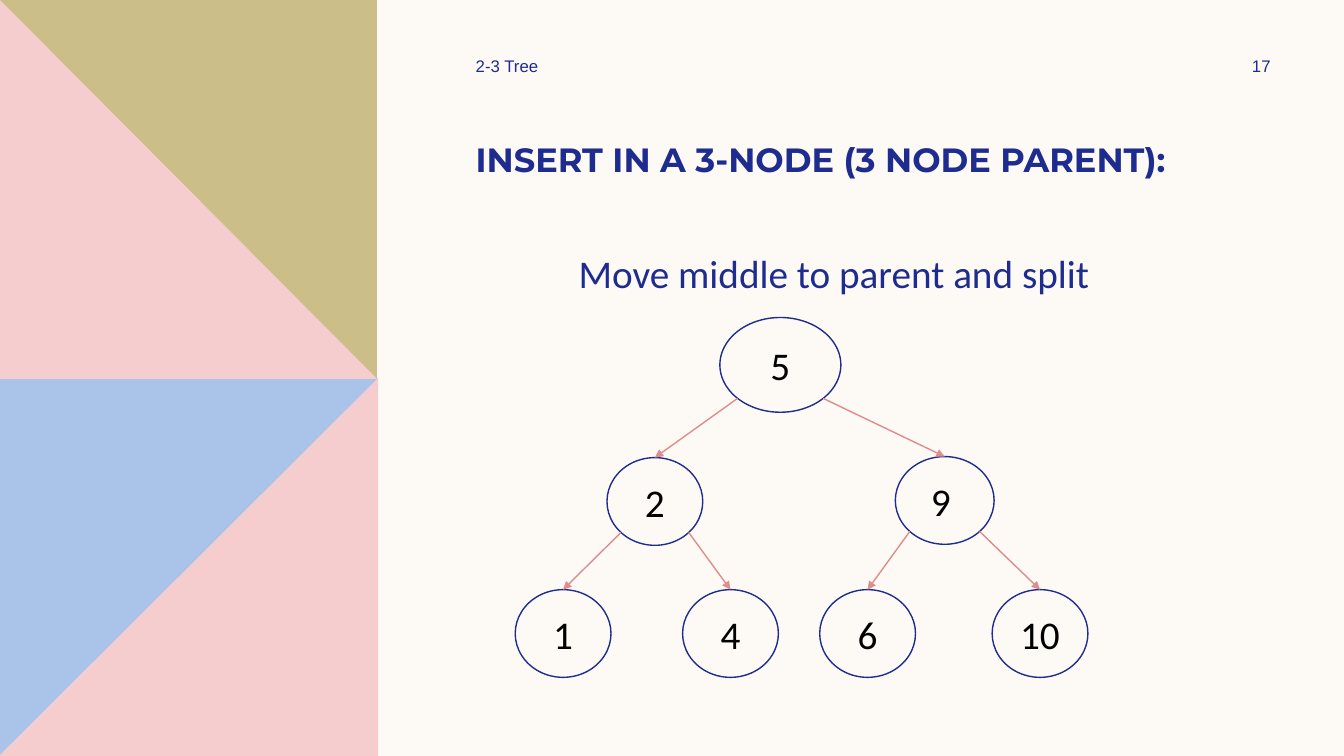
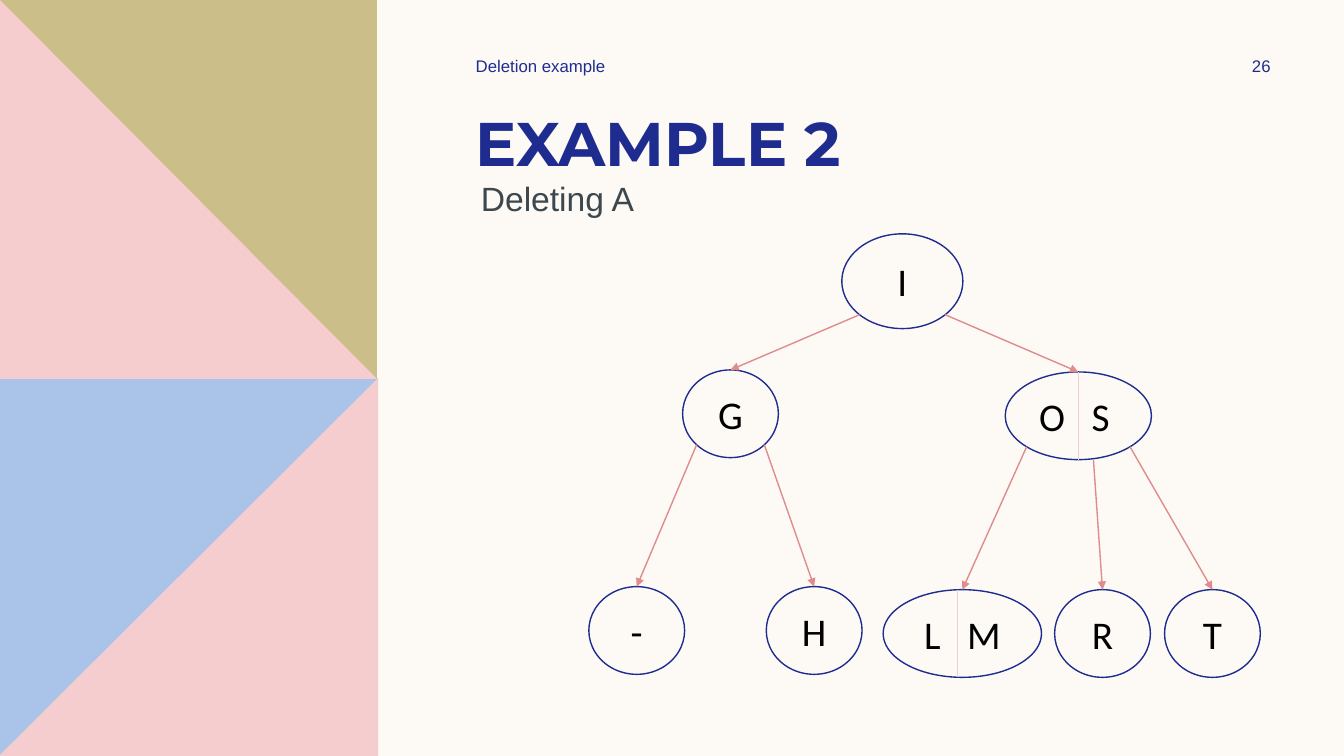
from dataclasses import dataclass
from math import sqrt
from typing import NamedTuple

from pptx import Presentation
from pptx import util as u
from pptx.dml import color
from pptx.enum import shapes, text
from pptx.oxml import xmlchemy


# Theme: every colour, font and type size
@dataclass(frozen=True)
class Theme:
    paper: str = "FDFAF6"
    navy: str = "1F2C8F"
    slate: str = "3C484E"
    black: str = "000000"
    blue: str = "AAC3E8"
    pink: str = "F5CDCE"
    olive: str = "CCBE89"
    rose: str = "DE8C8C"
    heading_font: str = "Montserrat"
    plain_font: str = "Arial"
    key_font: str = "Calibri"
    small: float = 12
    medium: float = 24
    key_size: float = 28
    large: float = 44
    stroke: float = 1
    hairline: float = 0.5


THEME = Theme()


class Style(NamedTuple):
    font: str
    size: float
    color: str
    bold: bool = False
    align: text.PP_ALIGN = text.PP_ALIGN.LEFT
    anchor: text.MSO_ANCHOR = text.MSO_ANCHOR.TOP
    before: float = 0


CENTER, MIDDLE = text.PP_ALIGN.CENTER, text.MSO_ANCHOR.MIDDLE
HEADER = Style(THEME.plain_font, THEME.small, THEME.navy, anchor=MIDDLE)
PAGE = HEADER._replace(align=CENTER)
TITLE = Style(THEME.heading_font, THEME.large, THEME.navy, bold=True)
LONG_TITLE = TITLE._replace(size=THEME.medium)
SUBTITLE = Style(THEME.plain_font, THEME.medium, THEME.slate)
STEP = Style(THEME.key_font, THEME.key_size, THEME.navy, align=CENTER, before=3.6)
KEY = Style(THEME.key_font, THEME.key_size, THEME.black, align=CENTER, anchor=MIDDLE)


class Box(NamedTuple):
    left: float
    top: float
    width: float
    height: float


class Point(NamedTuple):
    x: float
    y: float


class Panel(NamedTuple):
    color: str
    corners: tuple[Point, ...]


class Label(NamedTuple):
    words: str
    box: Box
    style: Style


@dataclass(frozen=True)
class Node:
    keys: str
    left: float
    top: float
    width: float = 0.95
    height: float = 0.87
    nudge: float = 0      # keys sit this far left of centre
    divider: float = 0    # divider offset from centre, when there are two keys

    @property
    def center(self) -> float:
        return self.left + self.width / 2

    @property
    def bottom(self) -> float:
        return self.top + self.height

    def exits(self, child_count: int) -> list[Point]:
        """Where branches leave: lower left, middle if needed, lower right."""
        reach = self.width / 2 / sqrt(2)
        y = self.top + self.height / 2 * (1 + 1 / sqrt(2))
        left, right = Point(self.center - reach, y), Point(self.center + reach, y)
        middle = Point(self.center + 0.15, self.bottom)
        return [left, middle, right] if child_count == 3 else [left, right]


@dataclass(frozen=True)
class Branch:
    node: Node
    children: tuple["Branch", ...] = ()


@dataclass(frozen=True)
class Page:
    topic: str
    number: str
    labels: tuple[Label, ...]
    tree: Branch


# Shared side band: two squares, each crossed by a pink triangle
SQUARE_TOP, SQUARE_LOW = 3.76, 3.75
PANELS = (
    Panel(THEME.blue, (Point(0, SQUARE_LOW), Point(3.75, SQUARE_LOW),
                       Point(3.75, 7.5), Point(0, 7.5))),
    Panel(THEME.pink, (Point(3.75, SQUARE_LOW), Point(3.75, 7.5),
                       Point(0, 7.5), Point(0, 7.49))),
    Panel(THEME.olive, (Point(0, 0), Point(3.74, 0),
                        Point(3.74, SQUARE_TOP), Point(0, SQUARE_TOP))),
    Panel(THEME.pink, (Point(0, 0), Point(3.74, SQUARE_TOP), Point(0, SQUARE_TOP))),
)

# Content
LEAF_TOP = 5.85
INSERTION = Page(
    "2-3 Tree", "17",
    (Label("INSERT IN A 3-NODE (3 NODE PARENT):", Box(4.62, 1.33, 7.4, 0.84), LONG_TITLE),
     Label("Move middle to parent and split", Box(4.57, 2.42, 7.4, 4.34), STEP)),
    Branch(Node("5", 7.14, 3.15, 1.2, 0.94), (
        Branch(Node("2", 6.02, 4.54), (
            Branch(Node("1", 5.11, LEAF_TOP)),
            Branch(Node("4", 6.77, LEAF_TOP)))),
        Branch(Node("9", 8.88, 4.53, 0.98, nudge=0.04), (
            Branch(Node("6", 8.13, LEAF_TOP)),
            Branch(Node("10", 9.84, LEAF_TOP)))))),
)
DELETION = Page(
    "Deletion example", "26",
    (Label("EXAMPLE 2", Box(4.62, 0.99, 7.4, 0.84), TITLE),
     Label("Deleting A", Box(4.67, 1.72, 8.38, 0.5), SUBTITLE)),
    Branch(Node("I", 8.35, 2.32, 1.2, 0.94), (
        Branch(Node("G", 6.77, 3.67), (
            Branch(Node("-", 5.84, 5.82)),
            Branch(Node("H", 7.6, 5.82)))),
        Branch(Node("O S", 9.97, 3.69, 1.45, nudge=0.04), (
            Branch(Node("L M", 8.76, LEAF_TOP, 1.57, divider=-0.05)),
            Branch(Node("R", 10.46, LEAF_TOP)),
            Branch(Node("T", 11.55, LEAF_TOP)))))),
)


# Drawing functions
def rgb(value: str) -> color.RGBColor:
    return color.RGBColor.from_string(value)


def paint(shape, fill: str, line: str | None = None) -> None:
    shape.shadow.inherit = False
    shape.fill.solid()
    shape.fill.fore_color.rgb = rgb(fill)
    if line is None:
        shape.line.fill.background()
    else:
        shape.line.color.rgb = rgb(line)
        shape.line.width = u.Pt(THEME.stroke)


def write(frame, words: list[str], style: Style) -> list:
    frame.word_wrap = True
    frame.vertical_anchor = style.anchor
    paragraph = frame.paragraphs[0]
    paragraph.alignment = style.align
    if style.before:
        paragraph.space_before = u.Pt(style.before)
    runs = []
    for word in words:
        run = paragraph.add_run()
        run.text = word
        run.font.name = style.font
        run.font.size = u.Pt(style.size)
        run.font.bold = style.bold
        run.font.color.rgb = rgb(style.color)
        runs.append(run)
    return runs


def draw_label(slide, label: Label) -> None:
    box = slide.shapes.add_textbox(*map(u.Inches, label.box))
    write(box.text_frame, [label.words], label.style)


def draw_panel(slide, panel: Panel) -> None:
    start, *rest = [(u.Inches(x), u.Inches(y)) for x, y in panel.corners]
    outline = slide.shapes.build_freeform(*start)
    outline.add_line_segments(rest, close=True)
    paint(outline.convert_to_shape(), panel.color)


def draw_line(slide, start: Point, end: Point, line: str, width: float,
              arrow: bool = False) -> None:
    stroke = slide.shapes.add_connector(
        shapes.MSO_CONNECTOR.STRAIGHT, *map(u.Inches, (*start, *end)))
    stroke.line.color.rgb = rgb(line)
    stroke.line.width = u.Pt(width)
    if arrow:
        head = xmlchemy.OxmlElement("a:tailEnd")
        head.set("type", "triangle")
        stroke.get_or_add_ln().append(head)
    stroke.element.spPr.append(xmlchemy.OxmlElement("a:effectLst"))


def draw_node(slide, node: Node) -> None:
    oval = slide.shapes.add_shape(
        shapes.MSO_SHAPE.OVAL,
        *map(u.Inches, (node.left, node.top, node.width, node.height)))
    paint(oval, THEME.paper, THEME.navy)
    frame = oval.text_frame
    frame.margin_left, frame.margin_right = 0, u.Inches(2 * node.nudge)
    first, gap, second = node.keys.partition(" ")
    if not gap:
        write(frame, [first], KEY)
        return
    # Two keys: widen the space between them and add a divider
    space = write(frame, [first, gap, second], KEY)[1]
    space.font.fill  # ensures run properties exist
    space.font._element.set("spc", "1260")
    x = node.center + node.divider
    draw_line(slide, Point(x, node.top), Point(x, node.bottom),
              THEME.pink, THEME.hairline)


def draw_tree(slide, branch: Branch) -> None:
    draw_node(slide, branch.node)
    exits = branch.node.exits(len(branch.children))
    for start, child in zip(exits, branch.children):
        draw_tree(slide, child)
        draw_line(slide, start, Point(child.node.center, child.node.top),
                  THEME.rose, THEME.stroke, arrow=True)


def draw_page(deck, page: Page) -> None:
    slide = deck.slides.add_slide(deck.slide_layouts[6])
    for panel in PANELS:
        draw_panel(slide, panel)
    header = (Label(page.topic, Box(4.62, 0.5, 3.5, 0.3), HEADER),
              Label(page.number, Box(11.97, 0.5, 1.08, 0.3), PAGE))
    for label in (*header, *page.labels):
        draw_label(slide, label)
    draw_tree(slide, page.tree)


# Build the deck
deck = Presentation()
deck.slide_width, deck.slide_height = u.Inches(13.33), u.Inches(7.5)
backdrop = deck.slide_master.background.fill
backdrop.solid()
backdrop.fore_color.rgb = rgb(THEME.paper)
for page in (INSERTION, DELETION):
    draw_page(deck, page)
deck.save("out.pptx")
